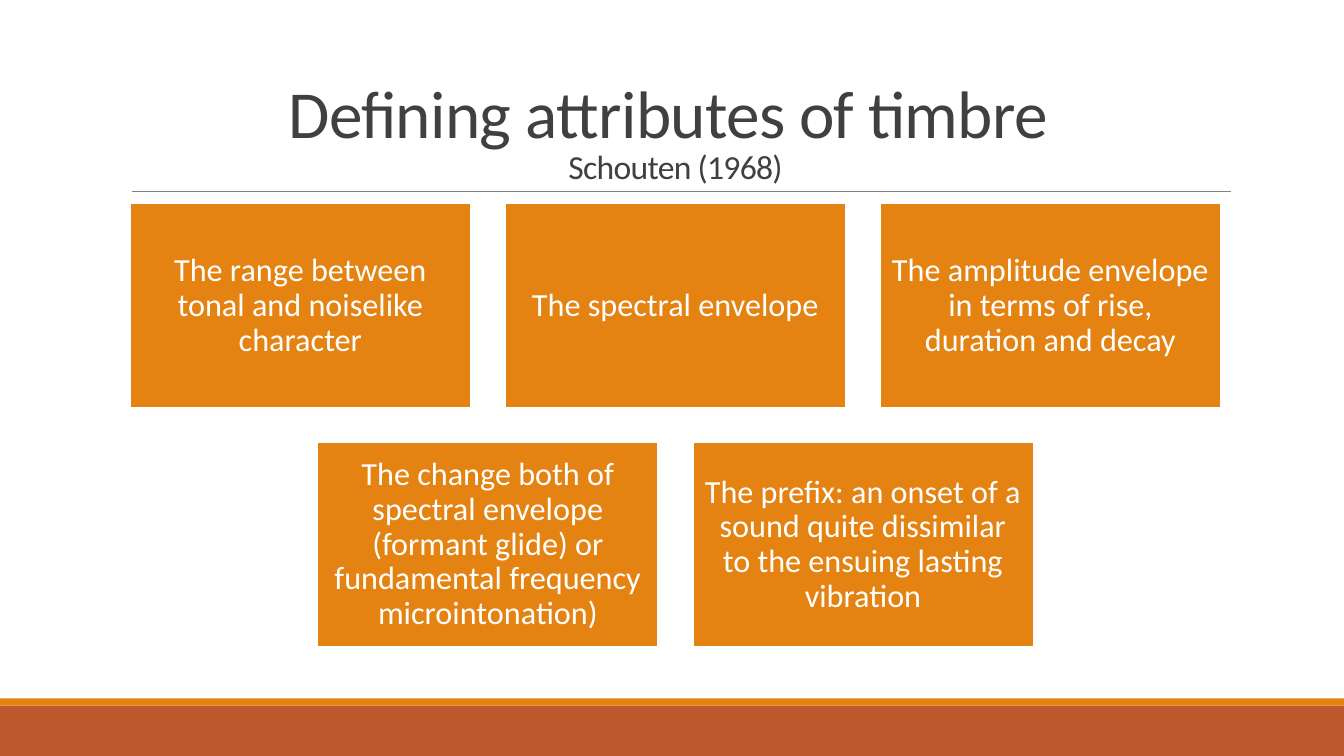
from lxml.etree import SubElement
from pptx import Presentation
from pptx.dml.color import RGBColor
from pptx.enum.shapes import MSO_CONNECTOR, MSO_SHAPE
from pptx.enum.text import MSO_ANCHOR, MSO_AUTO_SIZE, PP_ALIGN
from pptx.oxml.ns import qn
from pptx.util import Inches, Pt

ORANGE, RUST, WHITE, GRAY, DARK = "E48312", "BD582C", "FFFFFF", "808080", "404040"
BOX_WIDTH, BOX_HEIGHT, GAP = 3.38, 2.03, 0.34
GRID_CENTER, GRID_TOP = 6.7, 2.02
ATTRIBUTE_ROWS = [
    [
        "The range between tonal and noiselike character",
        "The spectral envelope",
        "The amplitude envelope in terms of rise, duration and decay",
    ],
    [
        "The change both of spectral envelope (formant glide) or fundamental frequency microintonation)",
        "The prefix: an onset of a sound quite dissimilar to the ensuing lasting vibration",
    ],
]


def color(value):
    return RGBColor.from_string(value)


class SlideBuilder:
    """Draws styled elements on the current slide."""

    font_name = "Calibri"

    def __init__(self, slide):
        self.slide = slide

    def add_run(self, paragraph, text, size, fill, spacing=None):
        run = paragraph.add_run()
        run.text = text
        run.font.name = self.font_name
        run.font.size = Pt(size)
        run.font.color.rgb = color(fill)
        if spacing is not None:
            run.font._element.set("spc", str(round(spacing * 100)))

    def title(self, heading, source, left, top, width, height):
        shape = self.slide.shapes.title
        shape.left, shape.top = Inches(left), Inches(top)
        shape.width, shape.height = Inches(width), Inches(height)
        frame = shape.text_frame
        frame.auto_size = MSO_AUTO_SIZE.NONE
        frame.word_wrap = True
        frame.vertical_anchor = MSO_ANCHOR.BOTTOM
        paragraph = frame.paragraphs[0]
        paragraph.alignment = PP_ALIGN.CENTER
        paragraph.line_spacing = 0.85
        self.add_run(paragraph, heading, 48, DARK, -0.5)
        paragraph.add_line_break()
        self.add_run(paragraph, source, 24, DARK, -0.5)

    def rectangle(self, left, top, width, height, fill):
        shape = self.slide.shapes.add_shape(
            MSO_SHAPE.RECTANGLE, Inches(left), Inches(top), Inches(width), Inches(height)
        )
        shape.shadow.inherit = False
        shape.fill.solid()
        shape.fill.fore_color.rgb = color(fill)
        shape.line.fill.background()
        return shape

    def attribute_box(self, text, left, top):
        shape = self.rectangle(left, top, BOX_WIDTH, BOX_HEIGHT, ORANGE)
        shape.line.color.rgb = color(WHITE)
        shape.line.width = Pt(1.25)
        frame = shape.text_frame
        frame.word_wrap = True
        frame.vertical_anchor = MSO_ANCHOR.MIDDLE
        frame.margin_left = frame.margin_right = Inches(0.1)
        frame.margin_top = frame.margin_bottom = Inches(0.1)
        paragraph = frame.paragraphs[0]
        paragraph.alignment = PP_ALIGN.CENTER
        paragraph.line_spacing = 0.9
        self.add_run(paragraph, text, 23, WHITE)

    def rule(self, left, right, y):
        connector = self.slide.shapes.add_connector(
            MSO_CONNECTOR.STRAIGHT, Inches(left), Inches(y), Inches(right), Inches(y)
        )
        connector.line.color.rgb = color(GRAY)
        connector.line.width = Pt(0.5)
        SubElement(connector._element.spPr, qn("a:effectLst"))


def main():
    presentation = Presentation()
    presentation.slide_width = Inches(13.33)
    presentation.slide_height = Inches(7.5)
    slide = presentation.slides.add_slide(presentation.slide_layouts[5])
    builder = SlideBuilder(slide)

    builder.rectangle(0, 7, 13.33, 0.5, RUST)
    builder.rectangle(0, 6.93, 13.33, 0.07, ORANGE)
    builder.rule(1.31, 12.21, 1.9)
    builder.title("Defining attributes of timbre ", "Schouten (1968)", 1.2, 0.31, 11, 1.59)

    for row, attributes in enumerate(ATTRIBUTE_ROWS):
        row_width = len(attributes) * (BOX_WIDTH + GAP) - GAP
        left = GRID_CENTER - row_width / 2
        top = GRID_TOP + row * (BOX_HEIGHT + GAP)
        for column, text in enumerate(attributes):
            builder.attribute_box(text, left + column * (BOX_WIDTH + GAP), top)

    presentation.save("out.pptx")


if __name__ == "__main__":
    main()
